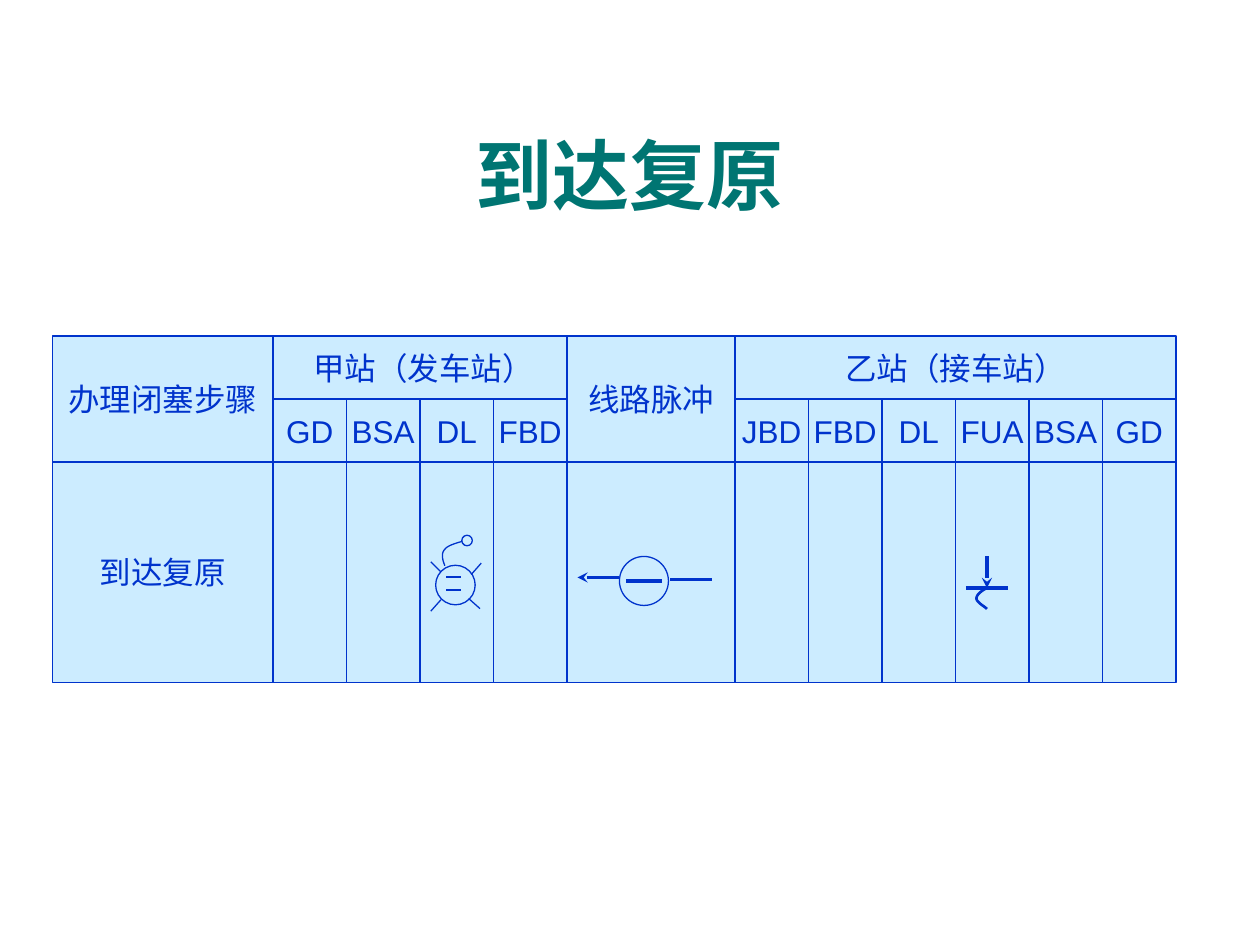
from lxml import etree
from pptx import Presentation
from pptx.dml.color import RGBColor
from pptx.enum.shapes import MSO_CONNECTOR, MSO_SHAPE
from pptx.enum.text import MSO_ANCHOR as ANCHOR, PP_ALIGN as ALIGN
from pptx.oxml.ns import qn
from pptx.util import Pt

COLORS = {"title": "007572", "ink": "0033CC", "cell": "CCECFF"}
FONT = "Arial"
THIN, THICK = 0.75, 1.75
COLUMN, HEADER, BODY = 42, 36, 126
STEP_WIDTH, PULSE_WIDTH = 126, 96
DEPARTURE_SIGNALS = ["GD", "BSA", "DL", "FBD"]
ARRIVAL_SIGNALS = ["JBD", "FBD", "DL", "FUA", "BSA", "GD"]


def color(name):
    return RGBColor.from_string(COLORS[name])


def write(frame, text, size, ink, bold=False):
    frame.vertical_anchor = ANCHOR.MIDDLE
    paragraph = frame.paragraphs[0]
    paragraph.alignment = ALIGN.CENTER
    run = paragraph.add_run()
    run.text = text
    run.font.name = FONT
    run.font.size = Pt(size)
    run.font.bold = bold
    run.font.color.rgb = color(ink)


def stroke(shape, width):
    shape.line.color.rgb = color("ink")
    shape.line.width = Pt(width)


def add_filled(shapes, kind, left, top, width, height):
    shape = shapes.add_shape(kind, Pt(left), Pt(top), Pt(width), Pt(height))
    shape.shadow.inherit = False
    shape.fill.solid()
    shape.fill.fore_color.rgb = color("cell")
    stroke(shape, THIN)
    return shape


def add_cell(shapes, left, top, width, height, text=""):
    cell = add_filled(shapes, MSO_SHAPE.RECTANGLE, left, top, width, height)
    if text:
        cell.text_frame.word_wrap = False
        write(cell.text_frame, text, 18, "ink")


def add_circle(shapes, x, y, radius):
    add_filled(shapes, MSO_SHAPE.OVAL, x - radius, y - radius, 2 * radius, 2 * radius)


def add_line(shapes, x1, y1, x2, y2, width=THIN, arrow=False):
    line = shapes.add_connector(MSO_CONNECTOR.STRAIGHT, Pt(x1), Pt(y1), Pt(x2), Pt(y2))
    stroke(line, width)
    properties = line._element.spPr
    if arrow:
        etree.SubElement(properties.find(qn("a:ln")), qn("a:tailEnd"), type="stealth")
    etree.SubElement(properties, qn("a:effectLst"))


def add_curve(shapes, left, top, points, width, steps=12):
    """Draw joined cubic Bezier curves; each takes three points after the last end."""
    start, vertices = points[0], []
    for i in range(0, len(points) - 1, 3):
        a, b, c, d = points[i:i + 4]
        for t in (n / steps for n in range(1, steps + 1)):
            u = 1 - t
            vertices.append([
                Pt(origin + u**3 * p + 3 * u * u * t * q + 3 * u * t * t * r + t**3 * s)
                for origin, p, q, r, s in zip((left, top), a, b, c, d)
            ])
    builder = shapes.build_freeform(Pt(left + start[0]), Pt(top + start[1]))
    builder.add_line_segments(vertices, close=False)
    curve = builder.convert_to_shape()
    curve.shadow.inherit = False
    curve.fill.background()
    stroke(curve, width)


def add_title(slide, left, top, width, height, text):
    title = slide.shapes.title
    title.left, title.top = Pt(left), Pt(top)
    title.width, title.height = Pt(width), Pt(height)
    write(title.text_frame, text, 44, "title", bold=True)


def add_station(shapes, left, top, name, signals):
    add_cell(shapes, left, top, COLUMN * len(signals), HEADER, name)
    for i, signal in enumerate(signals):
        x = left + i * COLUMN
        add_cell(shapes, x, top + HEADER, COLUMN, HEADER + BODY)
        add_cell(shapes, x, top + HEADER, COLUMN, HEADER, signal)


def add_labelled_column(shapes, left, top, width, heading, content=""):
    add_cell(shapes, left, top, width, 2 * HEADER, heading)
    add_cell(shapes, left, top + 2 * HEADER, width, BODY, content)


def add_bell(shapes, left, top):
    x, y = left + 20.25, top + 70.3
    add_circle(shapes, x, y, 11.3)
    for dy in (2.8, -4.5):
        add_line(shapes, x - 5.3, y + dy, x + 3.3, y + dy)
    rays = [(6.2, 57.1, 12, 62.9), (29.3, 64.3, 35, 57.8),
            (12, 78.7, 6.2, 85.2), (27.8, 78, 34.3, 83.8)]
    for x1, y1, x2, y2 in rays:
        add_line(shapes, left + x1, top + y1, left + x2, top + y2)
    add_curve(shapes, left, top, [(14.2, 59.3), (12.7, 55.7), (12, 52.1), (14.2, 49.9),
                                  (16.3, 47), (24.2, 45.6), (25.7, 44.9)], THIN)
    add_circle(shapes, left + 26.9, top + 44.9, 3)


def add_negative_pulse(shapes, left, top):
    x, y = left + 44, top + 68
    add_circle(shapes, x, y, 14)
    add_line(shapes, x - 10, y, x + 10, y, THICK)
    add_line(shapes, x - 14, y - 2, x - 38, y - 2, THICK, arrow=True)
    add_line(shapes, x + 15, y - 0.8, x + 39, y - 0.8, THICK)


def add_pressed_button(shapes, left, top):
    x, y = left + 18, top + 72
    add_line(shapes, x - 12, y, x + 12, y, THICK)
    add_line(shapes, x, y - 18, x, y, THICK, arrow=True)
    add_curve(shapes, x, y, [(0, 0), (-3, 1.5), (-6, 3.8), (-6, 6),
                             (-6, 8.2), (-0.7, 11), (0, 12)], 1.5)


def add_block_table(slide, left, top):
    departure = left + STEP_WIDTH
    pulse = departure + COLUMN * len(DEPARTURE_SIGNALS)
    arrival = pulse + PULSE_WIDTH
    body = top + 2 * HEADER

    def new_group():
        return slide.shapes.add_group_shape().shapes

    grid = new_group()
    add_labelled_column(grid, left, top, STEP_WIDTH, "办理闭塞步骤", "到达复原")
    add_station(grid, departure, top, " 甲站（发车站）", DEPARTURE_SIGNALS)
    add_labelled_column(grid, pulse, top, PULSE_WIDTH, "线路脉冲")
    add_station(grid, arrival, top, "乙站（接车站）", ARRIVAL_SIGNALS)

    add_bell(new_group(), departure + COLUMN * DEPARTURE_SIGNALS.index("DL"), body)
    add_negative_pulse(new_group(), pulse, body)
    add_pressed_button(new_group(), arrival + COLUMN * ARRIVAL_SIGNALS.index("FUA"), body)


def main():
    deck = Presentation()
    deck.slide_width, deck.slide_height = Pt(720), Pt(540)
    slide = deck.slides.add_slide(deck.slide_layouts[5])
    add_title(slide, 24, 54, 672, 90, "到达复原")
    add_block_table(slide, 30, 192)
    deck.save("out.pptx")


if __name__ == "__main__":
    main()
